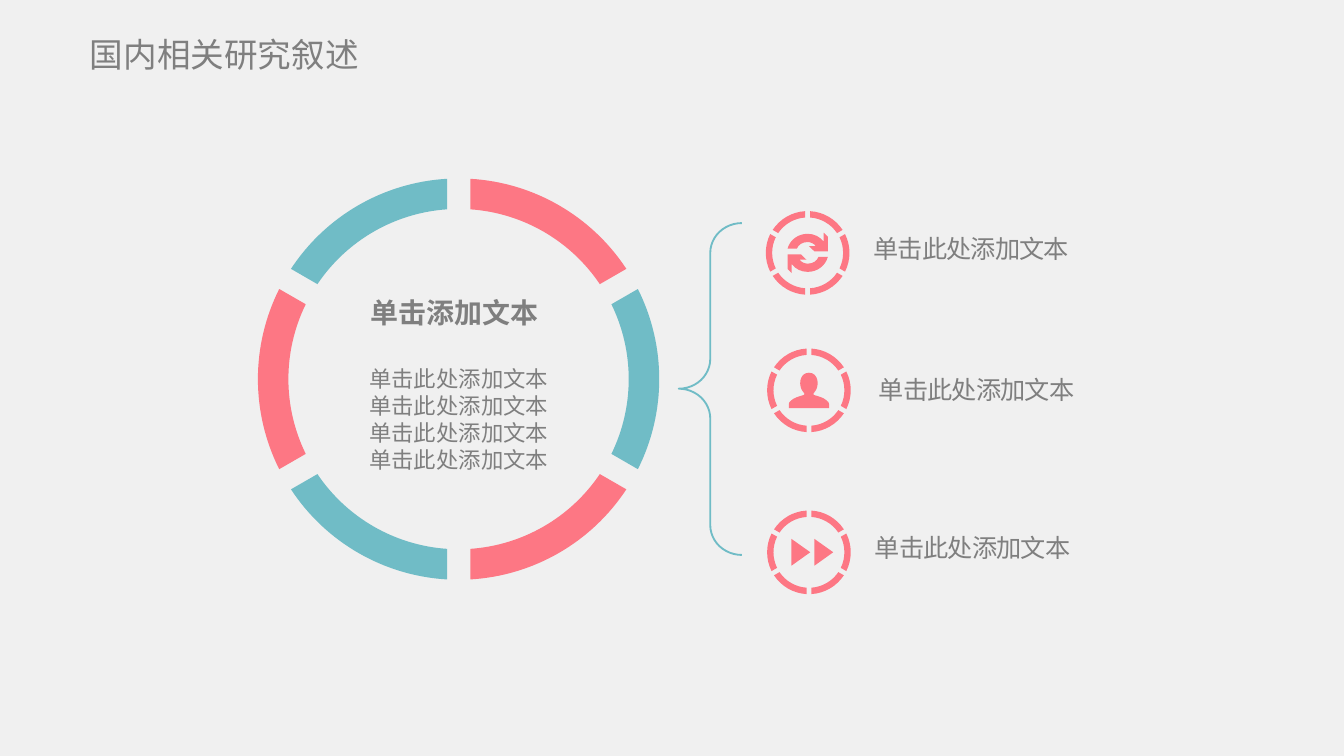
import math
from dataclasses import dataclass

from lxml import etree
from pptx import Presentation
from pptx.dml.color import RGBColor
from pptx.enum import shapes, text
from pptx.oxml import ns
from pptx.util import Pt


@dataclass(frozen=True)
class Theme:
    background: RGBColor = RGBColor(0xF0, 0xF0, 0xF0)
    pink: RGBColor = RGBColor(0xFD, 0x77, 0x84)
    teal: RGBColor = RGBColor(0x70, 0xBC, 0xC6)
    grey: RGBColor = RGBColor(0x7F, 0x7F, 0x7F)
    font: str = "Noto Sans CJK SC"
    title: float = 18
    heading: float = 15
    label: float = 13.5
    body: float = 12


THEME = Theme()
LABEL = "单击此处添加文本"

# Icon outlines around their centre: pairs are corners, sixes are Bézier curves.
PERSON = [[
    (10.8, 9.6), (-10.8, 9.6), (-10.8, 7.5),
    (-10.8, 6.8, -10.4, 6, -9.4, 5.4), (-7.9, 4, -5, 3.2, -2.9, 2.6),
    (-2.2, 2.4, -2, 1.8, -2.9, 1.1), (-5.8, -1.8, -5.4, -9.4, 0, -9.4),
    (5.4, -9.4, 5.8, -1.8, 2.9, 1.1), (2, 1.8, 2.2, 2.4, 2.9, 2.6),
    (5, 3.2, 7.9, 4, 9.4, 5.4), (10.4, 6, 10.8, 6.8, 10.8, 7.5),
]]
RETURN_ARROW = [
    (-10.8, 0.8), (-3.6, 0.8), (-0.7, 3.6), (-4.3, 3.6),
    (-3.6, 5, -1.4, 5.8, 0, 5.8), (2.9, 5.8, 5, 4.3, 5.8, 2.2), (10.8, 2.2),
    (9.4, 7.2, 5, 10.2, 0, 10.2), (-3.6, 10.2, -6.5, 8.6, -8.6, 6),
    (-8.6, 10.8), (-10.8, 8.6),
]
REFRESH = [RETURN_ARROW, [tuple(-v for v in step) for step in RETURN_ARROW]]
FORWARD = [[(x, -7.2), (x + 10.1, 0), (x, 7.2)] for x in (-9.4, 2.9)]


def bend_curves(shape, outlines):
    """Join the three straight steps that stand for each curve into one Bézier."""
    steps = iter(shape._element.findall(".//" + ns.qn("a:lnTo")))
    for outline in outlines:
        for step in outline[1:]:
            first = next(steps)
            if len(step) == 6:
                curve = etree.Element(ns.qn("a:cubicBezTo"))
                first.addprevious(curve)
                for line in (first, next(steps), next(steps)):
                    curve.append(line[0])
                    line.getparent().remove(line)


def draw_outlines(parent, center, outlines, color):
    """Draw outlines given around a centre as one filled shape."""
    placed = [[(Pt(center[0] + step[i]), Pt(center[1] + step[i + 1]))
               for step in outline for i in range(0, len(step), 2)]
              for outline in outlines]
    builder = parent.build_freeform(*placed[0][0])
    builder.add_line_segments(placed[0][1:], close=True)
    for contour in placed[1:]:
        builder.move_to(*contour[0])
        builder.add_line_segments(contour[1:], close=True)
    shape = builder.convert_to_shape()
    # Closing a contour adds no line step, so steps and outlines stay aligned.
    bend_curves(shape, outlines)
    shape.shadow.inherit = False
    shape.fill.solid()
    shape.fill.fore_color.rgb = color
    shape.line.fill.background()


def arc(radius, start, end):
    """A corner at the start angle, then one Bézier curve to the end angle."""
    reach = 4 / 3 * math.tan((end - start) / 4)
    (x1, y1), (x2, y2) = [(radius * math.cos(a), radius * math.sin(a))
                          for a in (start, end)]
    return [(x1, y1), (x1 - reach * y1, y1 + reach * x1,
                       x2 + reach * y2, y2 - reach * x2, x2, y2)]


def draw_ring(parent, center, radius, colors):
    """Six segments, clockwise from the top, with parallel-sided gaps."""
    thickness, half_gap = 0.152, 0.058
    outer_trim = math.asin(half_gap)
    inner_trim = math.asin(half_gap / (1 - thickness))
    for i in range(6):
        start, end = math.radians(60 * i - 90), math.radians(60 * i - 30)
        outer = arc(radius, start + outer_trim, end - outer_trim)
        inner = arc(radius * (1 - thickness), end - inner_trim, start + inner_trim)
        draw_outlines(parent, center, [outer + inner], colors[i % len(colors)])


def draw_text(parent, box, lines, size, bold=False, align=None, anchor=None,
              insets=(7.2, 3.6), line_spacing=None, space_after=None, tracking=None):
    frame = parent.add_textbox(*map(Pt, box)).text_frame
    frame.word_wrap = True
    frame.margin_left = frame.margin_right = Pt(insets[0])
    frame.margin_top = frame.margin_bottom = Pt(insets[1])
    frame.vertical_anchor = anchor
    for i, line in enumerate(lines):
        paragraph = frame.add_paragraph() if i else frame.paragraphs[0]
        paragraph.alignment = align
        paragraph.line_spacing = line_spacing
        if space_after:
            paragraph.space_after = Pt(space_after)
        run = paragraph.add_run()
        run.text = line
        run.font.size = Pt(size)
        run.font.bold = bold
        run.font.name = THEME.font
        run.font.color.rgb = THEME.grey
        properties = run._r.get_or_add_rPr()
        if tracking:
            properties.set("spc", str(round(tracking * 100)))
        etree.SubElement(properties, ns.qn("a:ea"), typeface=THEME.font)


def draw_title(slide, box):
    draw_text(slide.shapes, box, ["国内相关研究叙述"], THEME.title,
              anchor=text.MSO_ANCHOR.MIDDLE, insets=(0, 3.6))


def draw_hub(slide, box):
    """The large two-coloured ring with its heading and lines."""
    left, top, width, height = box
    draw_ring(slide.shapes, (left + width / 2, top + height / 2), width / 2,
              (THEME.pink, THEME.teal))
    center = text.PP_ALIGN.CENTER
    draw_text(slide.shapes, (left + 42.5, top + 62, 126, 23), ["单击添加文本"],
              THEME.heading, bold=True, align=center, line_spacing=0.85)
    draw_text(slide.shapes, (left + 41, top + 96.5, 133.2, 65.5), [LABEL] * 4,
              THEME.body, align=center)


def draw_brace(slide, box):
    brace = slide.shapes.add_shape(shapes.MSO_SHAPE.RIGHT_BRACE, *map(Pt, box))
    brace.rotation = 180
    brace.adjustments[0] = 0.473
    brace.adjustments[1] = 0.501
    brace.shadow.inherit = False
    brace.fill.background()
    brace.line.color.rgb = THEME.teal
    brace.line.width = Pt(1)


def draw_item(slide, box, icon, label_box):
    """A ringed icon in its box, with the label beside it."""
    left, top, size = box
    center = (left + size / 2, top + size / 2)
    badge = slide.shapes.add_group_shape().shapes
    draw_ring(badge, center, size / 2, (THEME.pink,))
    draw_outlines(badge, center, icon, THEME.pink)
    draw_text(slide.shapes, label_box, [LABEL], THEME.label,
              anchor=text.MSO_ANCHOR.MIDDLE, insets=(0, 0),
              line_spacing=0.9, space_after=4.6, tracking=-0.4)


def main():
    deck = Presentation()
    deck.slide_width, deck.slide_height = Pt(720), Pt(405)
    slide = deck.slides.add_slide(deck.slide_layouts[6])
    slide.background.fill.solid()
    slide.background.fill.fore_color.rgb = THEME.background

    draw_title(slide, (48.2, 13.7, 167.8, 30.2))
    draw_hub(slide, (138.2, 95.6, 215, 215))
    draw_brace(slide, (363.6, 119.5, 33.8, 177.8))
    items = [
        ((410.3, 113.1, 44.8), REFRESH, (468, 126.7, 124.6, 14.4)),
        ((411, 186.7, 44.8), PERSON, (470.9, 202.3, 121.7, 14.4)),
        ((411, 273.5, 44.8), FORWARD, (468.7, 287.3, 113, 14.4)),
    ]
    for box, icon, label_box in items:
        draw_item(slide, box, icon, label_box)
    deck.save("out.pptx")


if __name__ == "__main__":
    main()
